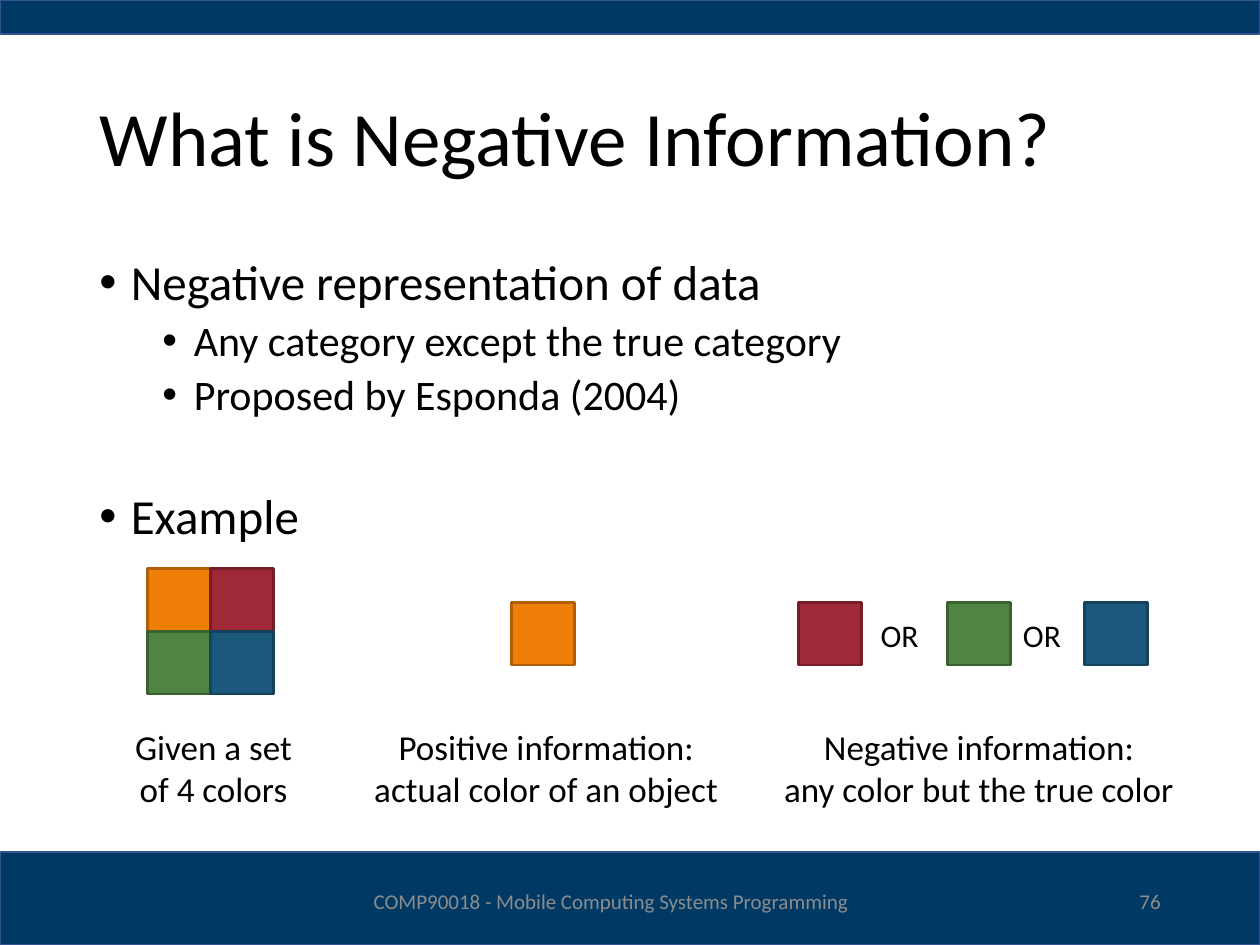
import pptx
import pptx.util
import pptx.dml.color
import pptx.enum.shapes
import pptx.enum.text
import pptx.oxml.ns
import pptx.oxml.xmlchemy

UNIT = 0.25
COLUMNS, ROWS = 40, 30
SIDE = 2
FONT = "Calibri"
COLOURS = {
    "navy": "003A64", "navy edge": "325491", "ink": "000000", "grey": "8C8C8C",
    "orange": "F07F09", "orange edge": "B25E07",
    "red": "9F2936", "red edge": "761E28",
    "green": "4E8542", "green edge": "3A6231",
    "blue": "1B587C", "blue edge": "14415C",
}
ALIGN = pptx.enum.text.PP_ALIGN
ANCHOR = pptx.enum.text.MSO_ANCHOR


def colour(name):
    return pptx.dml.color.RGBColor.from_string(COLOURS[name])


def grid(*cells):
    return [pptx.util.Inches(cell * UNIT) for cell in cells]


def set_all(target, values):
    for name, value in values.items():
        setattr(target, name, value)


def add_bullet(para, left, hanging):
    properties = para._p.get_or_add_pPr()
    properties.set("marL", str(pptx.util.Inches(left)))
    properties.set("indent", str(-pptx.util.Inches(hanging)))
    for tag, key, value in (("a:buFont", "typeface", "Arial"), ("a:buChar", "char", "•")):
        child = pptx.oxml.xmlchemy.OxmlElement(tag)
        child.set(key, value)
        properties.append(child)


def write(para, text, size, ink="ink", **layout):
    para.text = text
    set_all(para, layout)
    set_all(para.font, {"name": FONT, "size": pptx.util.Pt(size)})
    para.font.color.rgb = colour(ink)


def add_rectangle(page, name, cells, line_width=1.5):
    box = page.shapes.add_shape(pptx.enum.shapes.MSO_SHAPE.RECTANGLE, *grid(*cells))
    box.shadow.inherit = False
    box.fill.solid()
    box.fill.fore_color.rgb = colour(name)
    box.line.color.rgb = colour(name + " edge")
    box.line.width = pptx.util.Pt(line_width)


def add_square(page, name, column, row):
    add_rectangle(page, name, (column, row, SIDE, SIDE))


def add_text(page, cells, text, size, ink="ink", align=ALIGN.LEFT, anchor=ANCHOR.TOP):
    frame = page.shapes.add_textbox(*grid(*cells)).text_frame
    set_all(frame, {"word_wrap": True, "vertical_anchor": anchor})
    write(frame.paragraphs[0], text, size, ink, alignment=align)


def add_title(page, text):
    title = page.shapes.title
    set_all(title, dict(zip(("left", "top", "width", "height"), grid(2.76, 1.6, 34.48, 5.8))))
    set_all(title.text_frame, {
        "word_wrap": True,
        "auto_size": pptx.enum.text.MSO_AUTO_SIZE.NONE,
        "vertical_anchor": ANCHOR.MIDDLE,
    })
    write(title.text_frame.paragraphs[0], text, 44, alignment=ALIGN.LEFT, line_spacing=0.9)


def add_bullets(page, items):
    frame = page.shapes.add_textbox(*grid(2.76, 8, 34.48, 19.04)).text_frame
    frame.word_wrap = True
    for index, (text, level, before) in enumerate(items):
        para = frame.add_paragraph() if index else frame.paragraphs[0]
        add_bullet(para, 0.25 + 0.5 * level, 0.25)
        write(para, text, 28 - 4 * level, level=level, line_spacing=0.9,
              space_before=pptx.util.Pt(before))


def main():
    deck = pptx.Presentation()
    deck.slide_width, deck.slide_height = grid(COLUMNS, ROWS)
    page = deck.slides.add_slide(deck.slide_layouts[5])

    for top, height in ((27.04, 2.96), (0, 1.08)):
        add_rectangle(page, "navy", (0, top, COLUMNS, height), 1)

    add_title(page, "What is Negative Information?")
    add_bullets(page, [
        ("Negative representation of data", 0, 0),
        ("Any category except the true category", 1, 5),
        ("Proposed by Esponda (2004)", 1, 5),
        ("Example", 0, 41.4),
    ])

    for index, name in enumerate(("orange", "red", "green", "blue")):
        row, column = divmod(index, 2)
        add_square(page, name, 4.68 + column * SIDE, 18.04 + row * SIDE)
    for name, column in (("orange", 16.24), ("red", 25.36), ("green", 30.08), ("blue", 34.44)):
        add_square(page, name, column, 19.12)
    for column in (27.56, 32.08):
        add_text(page, (column, 19.36, 2.32, 1.6), "OR", 18)

    captions = (
        ("Given a set of 4 colors", 3.76, 6.04),
        ("Positive information: actual color of an object", 11.24, 12.2),
        ("Negative information:\vany color but the true color", 24.36, 13.44),
    )
    for text, column, width in captions:
        add_text(page, (column, 22.84, width, 3.08), text, 20, align=ALIGN.CENTER)

    footers = (
        ("COMP90018 - Mobile Computing Systems Programming", 10.52, 17.76, ALIGN.CENTER),
        ("76", 28.24, 9, ALIGN.RIGHT),
    )
    for text, column, width, align in footers:
        add_text(page, (column, 27.8, width, 1.6), text, 12, "grey", align, ANCHOR.MIDDLE)

    deck.save("out.pptx")


if __name__ == "__main__":
    main()
